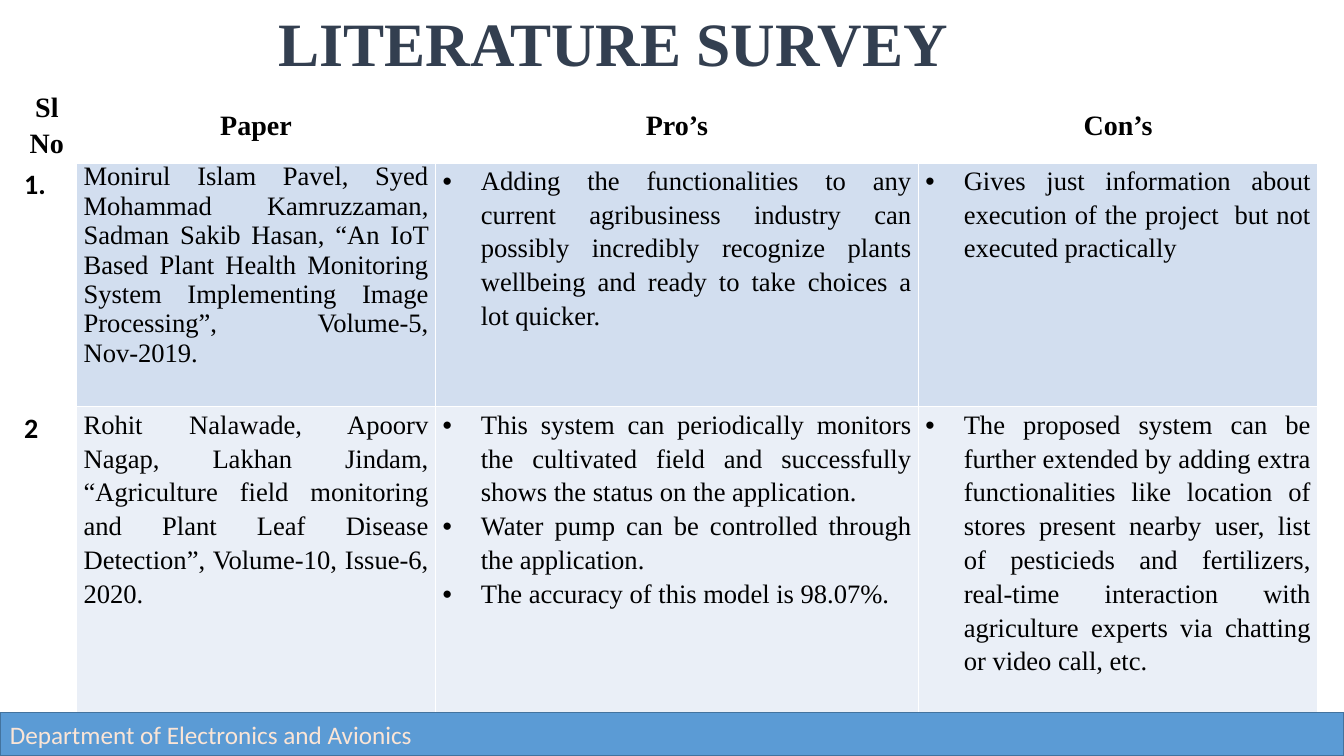
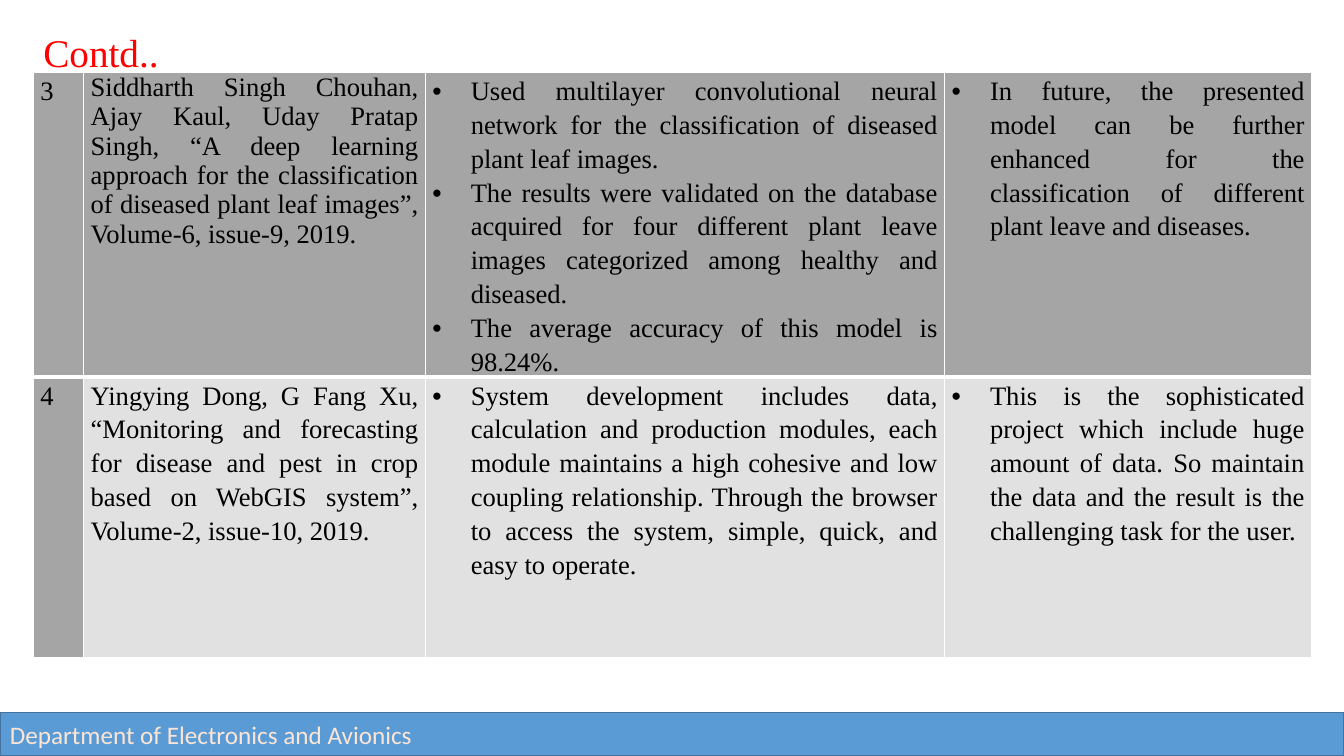
from dataclasses import dataclass

from lxml.etree import SubElement
from pptx import Presentation
from pptx.dml.color import RGBColor
from pptx.enum.shapes import MSO_SHAPE as Shape
from pptx.enum.text import MSO_ANCHOR as Anchor, MSO_AUTO_SIZE as AutoSize, PP_ALIGN as Align
from pptx.oxml.ns import qn
from pptx.util import Inches, Pt


@dataclass(frozen=True)
class Theme:
    serif: str = "Times New Roman"
    sans: str = "Calibri"
    black: str = "000000"
    white: str = "FFFFFF"
    navy: str = "333F50"
    red: str = "FF0000"
    band: str = "5B9BD5"
    band_line: str = "43739E"
    band_text: str = "FBE5D6"
    blue_rows: tuple = ("D2DEEF", "EAEFF7")
    gray_rows: tuple = ("A5A5A5", "E1E1E1")
    title: int = 44
    subtitle: int = 28
    heading: int = 20
    body: int = 19
    footer: int = 18
    thin: int = 1
    thick: int = 3
    spacing: float = 1.15


THEME = Theme()
PAGE_WIDTH, PAGE_HEIGHT = 13.33, 7.5
FOOTER_BOX = (0, 7.07, PAGE_WIDTH, 0.43)
HEADINGS = (["Sl", "No"], ["Paper"], ["Pro’s"], ["Con’s"])

BLUE_PAPERS = [
    (["1."],
     ["Monirul Islam Pavel, Syed Mohammad Kamruzzaman, Sadman Sakib Hasan, “An IoT Based Plant "
      "Health Monitoring System Implementing Image Processing”, Volume-5, Nov-2019."],
     ["Adding the functionalities to any current agribusiness industry can possibly incredibly "
      "recognize plants wellbeing and ready to take choices a lot quicker."],
     ["Gives just information about execution of the project  but not executed practically"]),
    (["2"],
     ["Rohit Nalawade, Apoorv Nagap, Lakhan Jindam, “Agriculture field monitoring and Plant Leaf "
      "Disease Detection”, Volume-10, Issue-6, 2020."],
     ["This system can periodically monitors the cultivated field and successfully shows the "
      "status on the application.",
      "Water pump can be controlled through the application.",
      "The accuracy of this model is 98.07%."],
     ["The proposed system can be further extended by adding extra functionalities like location "
      "of stores present nearby user, list of pesticieds and fertilizers, real-time interaction "
      "with agriculture experts via chatting or video call, etc."]),
]

GRAY_PAPERS = [
    (["3"],
     ["Siddharth Singh Chouhan, Ajay Kaul, Uday Pratap Singh, “A deep learning approach for the "
      "classification of diseased plant leaf images”, Volume-6, issue-9, 2019."],
     ["Used multilayer convolutional neural network for the classification of diseased plant leaf "
      "images.",
      "The results were validated on the database acquired for four different plant leave images "
      "categorized among healthy and diseased.",
      "The average accuracy of this model is 98.24%."],
     ["In future, the presented model can be further enhanced for the classification of different "
      "plant leave and diseases."]),
    (["4"],
     ["Yingying Dong, G Fang Xu, “Monitoring and forecasting for disease and pest in crop based on "
      "WebGIS system”, Volume-2, issue-10, 2019."],
     ["System development includes data, calculation and production modules, each module maintains "
      "a high cohesive and low coupling relationship. Through the browser to access the system, "
      "simple, quick, and easy to operate."],
     ["This is the sophisticated project which include huge amount of data. So maintain the data "
      "and the result is the challenging task for the user."]),
]


def color(value):
    return RGBColor.from_string(value)


def style_paragraph(para, size, font, ink, bold=False, align=Align.LEFT, spacing=1.0):
    para.alignment = align
    para.line_spacing = spacing
    for span in para.runs:
        span.font.size = Pt(size)
        span.font.name = font
        span.font.bold = bold
        span.font.color.rgb = color(ink)


def add_bullet(para):
    properties = para._p.get_or_add_pPr()
    properties.set("marL", str(Inches(0.38)))
    properties.set("indent", str(Inches(-0.38)))
    SubElement(properties, qn("a:buFont")).set("typeface", "Arial")
    SubElement(properties, qn("a:buChar")).set("char", "•")


def add_borders(cell, top, bottom):
    """Draw white lines round a cell; call it before the fill is set."""
    properties = cell._tc.get_or_add_tcPr()
    sides = {"lnL": THEME.thin, "lnR": THEME.thin, "lnT": top, "lnB": bottom}
    for side, width in sides.items():
        line = SubElement(properties, qn(f"a:{side}"), w=str(Pt(width)))
        fill = SubElement(line, qn("a:solidFill"))
        SubElement(fill, qn("a:srgbClr"), val=THEME.white)


def add_title(page, box, text, wrap=True, anchor=Anchor.TOP, **style):
    title = page.shapes.title
    title.left, title.top, title.width, title.height = map(Inches, box)
    frame = title.text_frame
    frame.text = text
    frame.auto_size = AutoSize.NONE
    frame.word_wrap = wrap
    frame.vertical_anchor = anchor
    style_paragraph(frame.paragraphs[0], font=THEME.serif, **style)


def add_footer(page, box):
    band = page.shapes.add_shape(Shape.RECTANGLE, *map(Inches, box))
    band.shadow.inherit = False
    band.fill.solid()
    band.fill.fore_color.rgb = color(THEME.band)
    band.line.color.rgb = color(THEME.band_line)
    band.line.width = Pt(1)
    frame = band.text_frame
    frame.text = "Department of Electronics and Avionics"
    frame.vertical_anchor = Anchor.MIDDLE
    style_paragraph(frame.paragraphs[0], THEME.footer, THEME.sans, THEME.band_text)


def fill_cell(cell, lines, fill, bullets=False, anchor=Anchor.TOP, **style):
    cell.margin_left = cell.margin_right = Inches(0.07)
    cell.margin_top = cell.margin_bottom = 0
    cell.vertical_anchor = anchor
    cell.fill.solid()
    cell.fill.fore_color.rgb = color(fill)
    cell.text_frame.text = "\n".join(lines)
    for para in cell.text_frame.paragraphs:
        style_paragraph(para, ink=THEME.black, **style)
        if bullets:
            add_bullet(para)


def add_survey(page, left, top, widths, heights, papers, row_fills, number_fill, number_style,
               headings=None):
    """Place a survey table; the line under its first row is thick."""
    box = (left, top, sum(widths), sum(heights))
    table = page.shapes.add_table(len(heights), len(widths), *map(Inches, box)).table
    table.first_row = bool(headings)
    table.horz_banding = False
    for column, width in zip(table.columns, widths):
        column.width = Inches(width)
    for index, (row, height) in enumerate(zip(table.rows, heights)):
        row.height = Inches(height)
        for cell in row.cells:
            add_borders(cell, top=THEME.thick if index == 1 else THEME.thin,
                        bottom=THEME.thick if index == 0 else THEME.thin)

    # Heading row
    for column, lines in enumerate(headings or ()):
        fill_cell(table.cell(0, column), lines, THEME.white, anchor=Anchor.MIDDLE,
                  size=THEME.heading, font=THEME.serif, bold=True, align=Align.CENTER,
                  spacing=THEME.spacing)

    # One row per paper; the first citation is set tighter
    first = 1 if headings else 0
    body = dict(size=THEME.body, font=THEME.serif, align=Align.JUSTIFY)
    for index, (paper, fill) in enumerate(zip(papers, row_fills)):
        number, citation, pros, cons = table.rows[first + index].cells
        fill_cell(number, paper[0], number_fill, spacing=THEME.spacing, **number_style)
        fill_cell(citation, paper[1], fill, spacing=THEME.spacing if index else 1.0, **body)
        for cell, lines in zip((pros, cons), paper[2:]):
            fill_cell(cell, lines, fill, bullets=True, spacing=THEME.spacing, **body)


def build_survey_page(page):
    add_title(page, (2.63, 0, 6.91, 0.84), "LITERATURE SURVEY", wrap=False,
              size=THEME.title, ink=THEME.navy, bold=True, align=Align.CENTER)
    add_survey(page, 0.17, 0.84, (0.59, 3.56, 4.79, 3.96), (0.77, 2.42, 3.12),
               BLUE_PAPERS, THEME.blue_rows, THEME.white,
               dict(size=THEME.heading, font=THEME.sans, bold=True), HEADINGS)


def build_continued_page(page):
    add_title(page, (0.33, 0, 1.36, 0.72), "Contd..",
              size=THEME.subtitle, ink=THEME.red, align=Align.JUSTIFY, spacing=1.5)
    add_survey(page, 0.33, 0.72, (0.5, 3.39, 5.15, 3.64), (3.02, 2.78),
               GRAY_PAPERS, THEME.gray_rows, THEME.gray_rows[0],
               dict(size=THEME.body, font=THEME.serif, align=Align.JUSTIFY))


def main():
    deck = Presentation()
    deck.slide_width, deck.slide_height = Inches(PAGE_WIDTH), Inches(PAGE_HEIGHT)
    title_only = deck.slide_layouts[5]
    for build in (build_survey_page, build_continued_page):
        page = deck.slides.add_slide(title_only)
        build(page)
        add_footer(page, FOOTER_BOX)
    deck.save("out.pptx")


if __name__ == "__main__":
    main()
